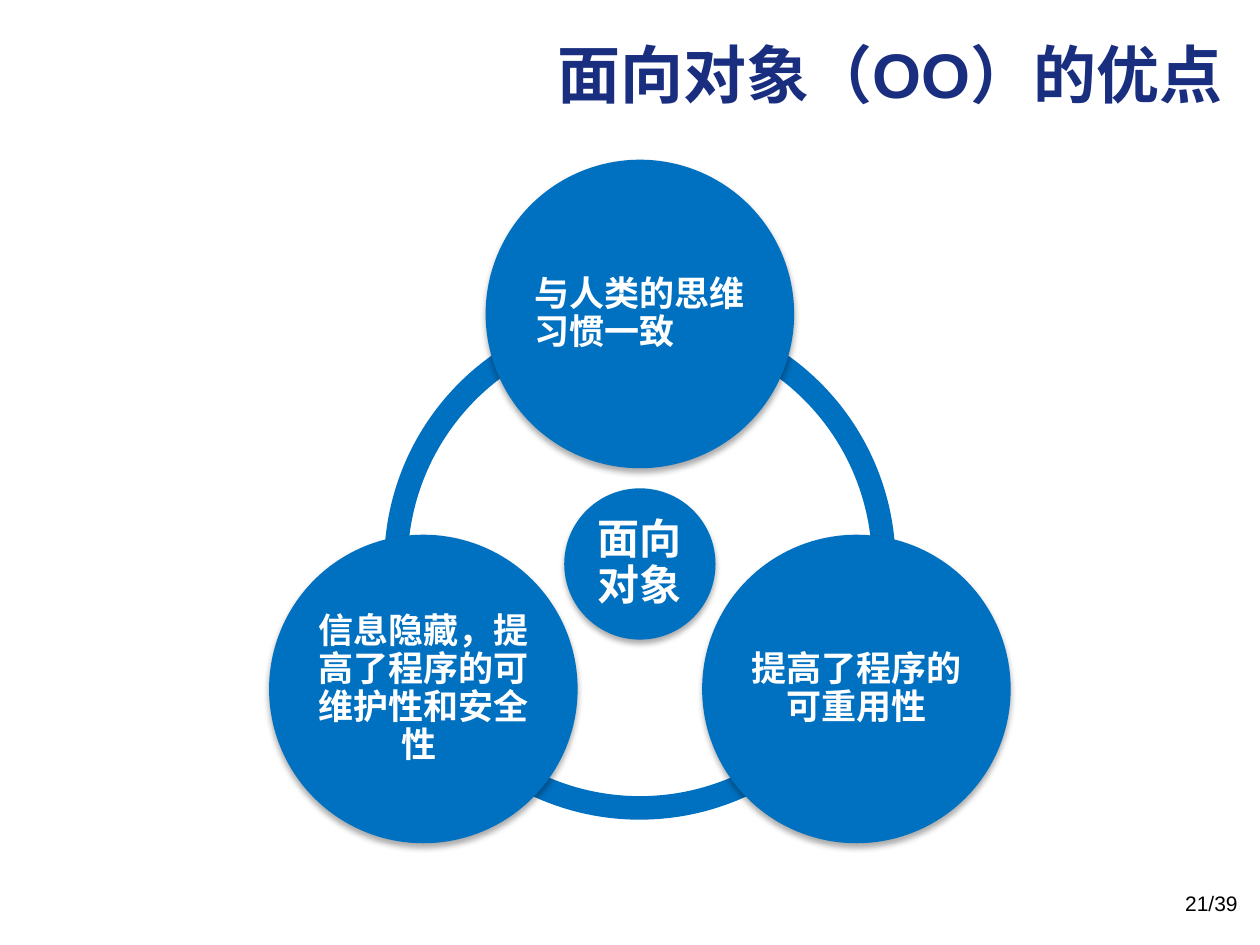
import math

import lxml.etree
import pptx
import pptx.dml.color
import pptx.enum.shapes
import pptx.enum.text
import pptx.oxml
import pptx.oxml.ns
import pptx.util

Cm = pptx.util.Cm
Pt = pptx.util.Pt
RGBColor = pptx.dml.color.RGBColor
MSO_SHAPE = pptx.enum.shapes.MSO_SHAPE
MSO_ANCHOR = pptx.enum.text.MSO_ANCHOR
PP_ALIGN = pptx.enum.text.PP_ALIGN

NAVY = RGBColor(0x1A, 0x2E, 0x7F)
BLUE = RGBColor(0x00, 0x70, 0xC0)
WHITE = RGBColor(0xFF, 0xFF, 0xFF)
BLACK = RGBColor(0x00, 0x00, 0x00)

CENTER_X, CENTER_Y = 12.9, 11.37
ORBIT = 5.04
RING_SIZE, HUB_SIZE, CIRCLE_SIZE = 10.31, 3.05, 6.22

# Angle clockwise from the right, text, alignment
ADVANTAGES = [
    (-90, "与人类的思维习惯一致", PP_ALIGN.LEFT),
    (30, "提高了程序的可重用性", PP_ALIGN.CENTER),
    (150, "信息隐藏，提高了程序的可维护性和安全性 ", PP_ALIGN.CENTER),
]
ARCS = [(90, 162), (18, 90), (162, 18)]


def set_text(tf, text, size, color, align, bold=False):
    tf.text = text
    tf.word_wrap = True
    p = tf.paragraphs[0]
    p.alignment = align
    font = p.runs[0].font
    font.name = "Arial"
    font.size = Pt(size)
    font.bold = bold
    font.color.rgb = color


def add_blue_shape(shapes, kind, x, y, size):
    """Add a square-framed shape centred on x, y (cm)."""
    sp = shapes.add_shape(kind, Cm(x - size / 2), Cm(y - size / 2), Cm(size), Cm(size))
    sp.fill.solid()
    sp.fill.fore_color.rgb = BLUE
    sp.line.fill.background()
    sp.shadow.inherit = False
    return sp


def add_arc(shapes, start, end):
    sp = add_blue_shape(shapes, MSO_SHAPE.BLOCK_ARC, CENTER_X, CENTER_Y, RING_SIZE)
    # Angles are stored as 60000ths of a degree, adjustments as 100000ths
    sp.adjustments[0] = start * 0.6
    sp.adjustments[1] = end * 0.6
    sp.adjustments[2] = 0.046


def add_soft_shadow(sp):
    qn = pptx.oxml.ns.qn
    effects = sp.element.spPr.find(qn("a:effectLst"))
    shadow = lxml.etree.SubElement(
        effects, qn("a:outerShdw"), blurRad=str(Pt(3.5)), dist=str(Pt(2.2)),
        dir="5400000", rotWithShape="0")
    color = lxml.etree.SubElement(shadow, qn("a:srgbClr"), val=str(BLACK))
    lxml.etree.SubElement(color, qn("a:alpha"), val="32000")


def add_circle(shapes, x, y, size, text, font_size, align):
    sp = add_blue_shape(shapes, MSO_SHAPE.OVAL, x, y, size)
    add_soft_shadow(sp)
    tf = sp.text_frame
    set_text(tf, text, font_size, WHITE, align, bold=True)
    tf.vertical_anchor = MSO_ANCHOR.MIDDLE
    tf.margin_left = tf.margin_right = tf.margin_top = tf.margin_bottom = Cm(0.07)
    tf.paragraphs[0].line_spacing = 0.9


def add_title(slide, text):
    title = slide.shapes.title
    title.left, title.top, title.width, title.height = Cm(2.03), Cm(0.23), Cm(22.86), Cm(2.49)
    set_text(title.text_frame, text, 36, NAVY, PP_ALIGN.RIGHT, bold=True)
    title.text_frame.vertical_anchor = MSO_ANCHOR.MIDDLE


def add_page_number(slide, text):
    box = slide.shapes.add_textbox(Cm(19.28), Cm(17.83), Cm(5.92), Cm(1.02))
    set_text(box.text_frame, text, 12, BLACK, PP_ALIGN.RIGHT)


def add_cycle(slide):
    """Group the ring, the hub and the circles spaced evenly around it."""
    shapes = slide.shapes.add_group_shape().shapes
    for start, end in ARCS:
        add_arc(shapes, start, end)
    add_circle(shapes, CENTER_X, CENTER_Y, HUB_SIZE, "面向对象", 24, PP_ALIGN.CENTER)
    for angle, text, align in ADVANTAGES:
        x = CENTER_X + ORBIT * math.cos(math.radians(angle))
        y = CENTER_Y + ORBIT * math.sin(math.radians(angle))
        add_circle(shapes, x, y, CIRCLE_SIZE, text, 20, align)


def main():
    prs = pptx.Presentation()
    prs.slide_width, prs.slide_height = Cm(25.4), Cm(19.05)
    slide = prs.slides.add_slide(prs.slide_layouts[5])
    add_title(slide, "面向对象（OO）的优点")
    add_cycle(slide)
    add_page_number(slide, "21/39")
    prs.save("out.pptx")


if __name__ == "__main__":
    main()
